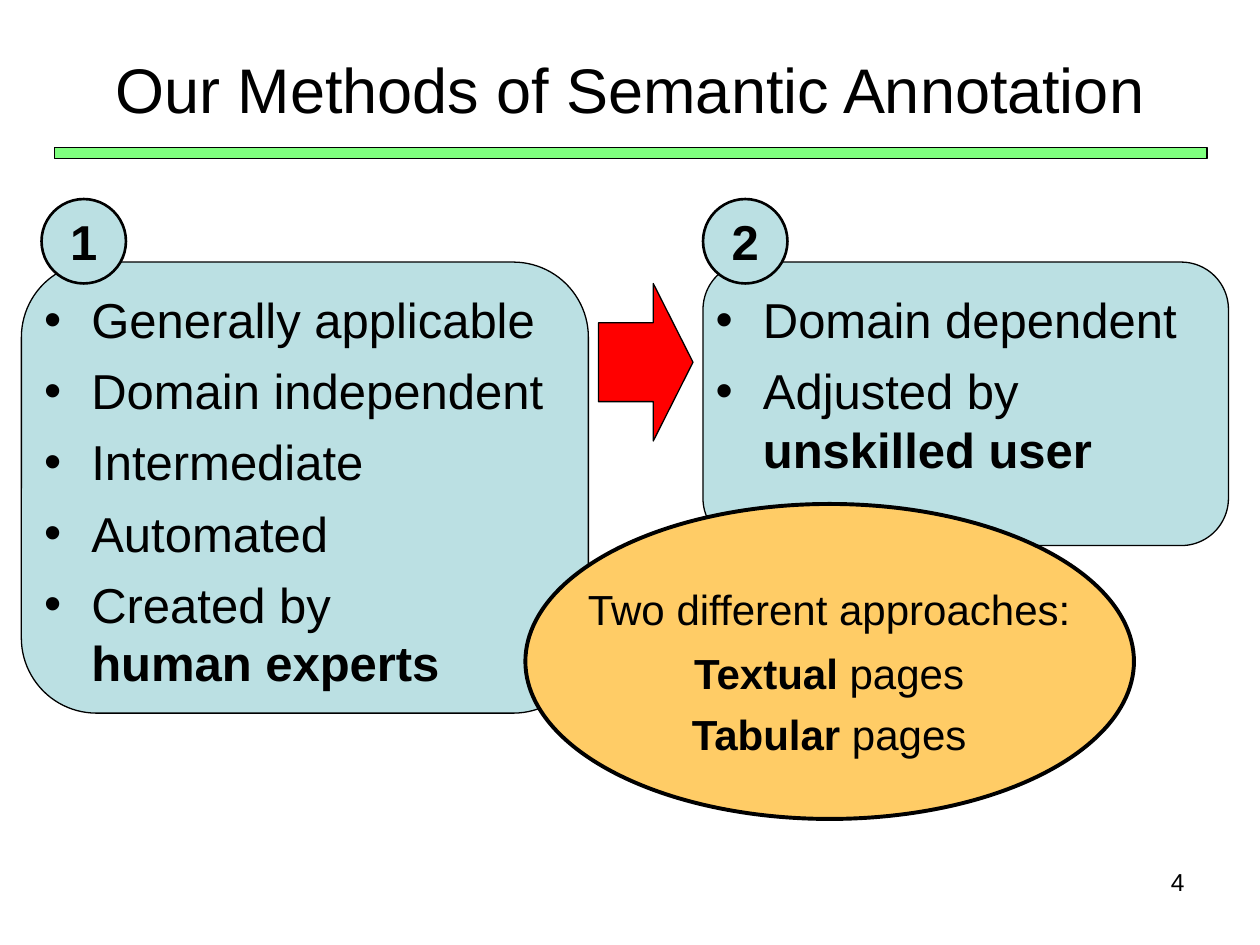
from lxml import etree
from pptx import Presentation
from pptx.dml.color import RGBColor
from pptx.enum.shapes import MSO_SHAPE as SHAPE
from pptx.enum.text import MSO_ANCHOR as ANCHOR, MSO_AUTO_SIZE as AUTO, PP_ALIGN as ALIGN
from pptx.oxml.ns import qn
from pptx.util import Inches, Pt

COLORS = {"black": "000000", "panel": "BBE0E3", "callout": "FFCC66",
          "rule": "00FF00", "arrow": "FF0000"}
TITLE = "Our Methods of Semantic Annotation"
BREAK = "\n"
METHODS = [
    {"number": "1", "panel": (0.17, 2.08, 4.5, 3.58), "badge": (0.33, 1.58, 0.67, 0.67),
     "body": (0.25, 2.25, 4.5, 4.95),
     "items": [["Generally applicable"], ["Domain independent"], ["Intermediate"],
               ["Automated"], ["Created by", BREAK, "*human experts"]]},
    {"number": "2", "panel": (5.58, 2.08, 4.17, 2.25), "badge": (5.58, 1.58, 0.67, 0.67),
     "body": (5.58, 2.25, 4.42, 1.67),
     "items": [["Domain dependent"], ["Adjusted by ", BREAK, "*unskilled user"]]},
]
APPROACHES = [["Two different approaches:"], ["*Textual", " pages"], ["*Tabular", " pages"]]
PAGE = "4"


def color(name):
    """Return the named colour."""
    return RGBColor.from_string(COLORS[name])


def add_box(s, kind, box, fill, width=0.75):
    """Add an outlined preset shape."""
    sp = s.shapes.add_shape(kind, *map(Inches, box))
    sp.shadow.inherit = False
    sp.fill.solid()
    sp.fill.fore_color.rgb = color(fill)
    sp.line.color.rgb = color("black")
    sp.line.width = Pt(width)
    return sp


def write(tf, lines, size, align, gaps=()):
    """Write lines of runs, where a leading star means bold."""
    for i, line in enumerate(lines):
        p = tf.paragraphs[0] if i == 0 else tf.add_paragraph()
        p.alignment = align
        p.space_before = Pt(gaps[i - 1] if i else 0)
        for text in line:
            if text == BREAK:
                p.add_line_break()
                continue
            r = p.add_run()
            r.text = text.lstrip("*")
            r.font.name = "Arial"
            r.font.size = Pt(size)
            r.font.bold = text.startswith("*")
            r.font.color.rgb = color("black")


def place(sp, box):
    """Move a placeholder and keep its text size fixed."""
    sp.left, sp.top, sp.width, sp.height = map(Inches, box)
    sp.text_frame.auto_size = AUTO.NONE
    return sp.text_frame


def add_text(s, box, lines, size, align, gaps=()):
    """Add a wrapping text box."""
    tf = s.shapes.add_textbox(*map(Inches, box)).text_frame
    tf.word_wrap = True
    write(tf, lines, size, align, gaps)


def main():
    """Build the slide."""
    prs = Presentation()
    prs.slide_width, prs.slide_height = Inches(10), Inches(7.5)
    s = prs.slides.add_slide(prs.slide_layouts[3])
    title = s.shapes.title

    backdrop = [add_box(s, SHAPE.ROUNDED_RECTANGLE, m["panel"], "panel")
                for m in reversed(METHODS)]
    backdrop.append(add_box(s, SHAPE.OVAL, (4.17, 4, 4.83, 2.5), "callout", 2.25))
    for sp in backdrop:
        title.element.addprevious(sp.element)

    write(place(title, (0.5, 0.08, 9, 1.25)), [[TITLE]], 36, ALIGN.CENTER)
    for idx, m in enumerate(METHODS, 1):
        tf = place(s.placeholders[idx], m["body"])
        write(tf, m["items"], 28, ALIGN.LEFT, [7] * len(m["items"]))

    rule = add_box(s, SHAPE.RECTANGLE, (0.43, 1.17, 9.15, 0.09), "rule")
    fill = rule.element.spPr.find(qn("a:solidFill"))
    etree.SubElement(fill[0], qn("a:alpha"), val="50000")

    arrow = add_box(s, SHAPE.RIGHT_ARROW, (4.75, 2.25, 0.75, 1.25), "arrow")
    arrow.adjustments[1] = 0.42
    add_text(s, (4.29, 4.58, 4.58, 1.83), APPROACHES, 24, ALIGN.CENTER, (8, 6))

    for m in METHODS:
        tf = add_box(s, SHAPE.OVAL, m["badge"], "panel", 1.5).text_frame
        tf.word_wrap = False
        tf.vertical_anchor = ANCHOR.MIDDLE
        write(tf, [["*" + m["number"]]], 28, ALIGN.CENTER)

    add_text(s, (7.17, 6.83, 2.33, 0.52), [[PAGE]], 14, ALIGN.RIGHT)
    prs.save("out.pptx")


if __name__ == "__main__":
    main()
